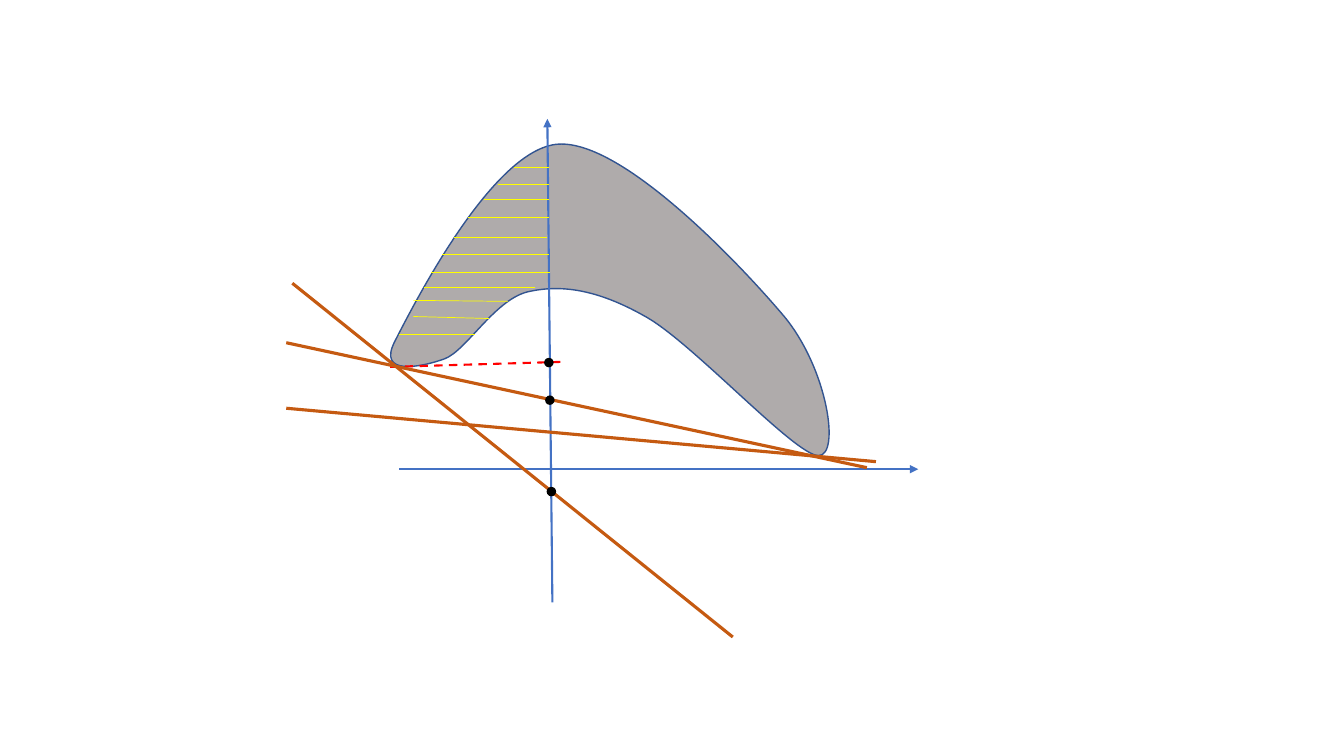
from dataclasses import dataclass

from lxml.etree import SubElement
from pptx import Presentation
from pptx.dml.color import RGBColor
from pptx.enum.dml import MSO_LINE as Dash
from pptx.enum.shapes import MSO_CONNECTOR as Connector, MSO_SHAPE as Preset
from pptx.oxml.ns import qn
from pptx.shapes.shapetree import GroupShapes
from pptx.util import Emu, Inches, Pt

# Grid: ten columns and ten rows to the inch
CELL = Inches(0.1)
COLUMNS, ROWS = 133.33, 75

Point = tuple[float, float]

BLUE, ORANGE, YELLOW = "4472C4", "C55A11", "FFFF00"
RED, BLACK, GRAY, NAVY = "FF0000", "000000", "AFABAB", "325491"


@dataclass(frozen=True)
class Segment:
    start: Point
    end: Point
    color: str
    width: float
    dashed: bool = False
    arrow: bool = False


@dataclass(frozen=True)
class Dot:
    center: Point
    diameter: float = 0.8


# Region: corners of its box, start of its outline,
# then (control, control, end) for each curve
REGION_TOP_LEFT: Point = (38.7, 14.3)
REGION_BOTTOM_RIGHT: Point = (82.2, 45.2)
REGION_START: Point = (39.2, 33.8)
REGION_CURVES: list[tuple[Point, Point, Point]] = [
    ((41, 30.3), (48.9, 14.7), (55.4, 14.3)),
    ((61.8, 13.9), (73.5, 26.3), (77.8, 31.4)),
    ((82.1, 36.6), (83.4, 45.2), (81.2, 45.2)),
    ((78.9, 45.2), (69, 34.3), (64.2, 31.5)),
    ((59.5, 28.8), (55.9, 28.2), (52.6, 28.9)),
    ((49.2, 29.5), (46.3, 34.8), (44.1, 35.6)),
    ((41.9, 36.4), (37.3, 37.4), REGION_START),
]

AXES = [
    Segment((39.6, 46.55), (91.1, 46.55), BLUE, 1.5, arrow=True),
    Segment((54.8, 59.75), (54.3, 11.8), BLUE, 1.5, arrow=True),
]
PROJECTION = Segment((38.7, 36.4), (55.8, 35.9), RED, 1.5, dashed=True)
UPPER_SUPPORT, STEEP_SUPPORT, LOWER_SUPPORT = [
    Segment(start, end, ORANGE, 2.25)
    for start, end in [
        ((28.4, 34), (86, 46.4)),
        ((29, 28.1), (72.7, 63.2)),
        ((28.4, 40.5), (86.9, 45.8)),
    ]
]

# Hatching: left column, right column, row, drop at the right end
HATCHING = [
    Segment((left, row), (right, row + drop), YELLOW, 0.5)
    for left, right, row, drop in [
        (51, 54.5, 16.6, 0),
        (49.4, 54.5, 18.3, 0),
        (48, 54.5, 19.8, 0),
        (46.4, 54.5, 21.6, 0),
        (45, 54.3, 23.5, 0),
        (43.9, 54.5, 25.2, 0),
        (42.8, 54.6, 27, 0),
        (42.1, 53.1, 28.5, 0),
        (41, 50.4, 29.8, 0.1),
        (41, 48.5, 31.4, 0.2),
        (39.6, 47.1, 33.2, 0),
    ]
]

# Intercepts on the vertical axis
TOP_DOT, MIDDLE_DOT, BOTTOM_DOT = (
    Dot((54.45, 35.97)), Dot((54.55, 39.7)), Dot((54.7, 48.77))
)

# Everything above the region, from back to front
PARTS: list[Segment | Dot] = [
    *AXES, PROJECTION, TOP_DOT, UPPER_SUPPORT, STEEP_SUPPORT,
    *HATCHING, MIDDLE_DOT, BOTTOM_DOT, LOWER_SUPPORT,
]


def cells(count: float) -> Emu:
    return Emu(round(count * CELL))


def rgb(color: str) -> RGBColor:
    return RGBColor.from_string(color)


def paint(shape, fill: str, line: str) -> None:
    shape.shadow.inherit = False
    shape.fill.solid()
    shape.fill.fore_color.rgb = rgb(fill)
    shape.line.color.rgb = rgb(line)
    shape.line.width = Pt(1)


def add_path_step(outline, tag: str, *points: Point) -> None:
    step = SubElement(outline, qn(tag))
    left, top = REGION_TOP_LEFT
    for x, y in points:
        SubElement(step, qn("a:pt"), x=str(cells(x - left)), y=str(cells(y - top)))


def draw_region(shapes: GroupShapes) -> None:
    # The diagonal fixes the box; the curves then take its place
    builder = shapes.build_freeform(*map(cells, REGION_TOP_LEFT))
    builder.add_line_segments([tuple(map(cells, REGION_BOTTOM_RIGHT))], close=False)
    region = builder.convert_to_shape()
    outline = region._element.spPr.find(".//" + qn("a:path"))
    for step in list(outline):
        outline.remove(step)
    add_path_step(outline, "a:moveTo", REGION_START)
    for curve in REGION_CURVES:
        add_path_step(outline, "a:cubicBezTo", *curve)
    add_path_step(outline, "a:close")
    paint(region, GRAY, NAVY)


def draw_segment(shapes: GroupShapes, segment: Segment) -> None:
    connector = shapes.add_connector(
        Connector.STRAIGHT, *map(cells, segment.start + segment.end)
    )
    connector.line.color.rgb = rgb(segment.color)
    connector.line.width = Pt(segment.width)
    if segment.dashed:
        connector.line.dash_style = Dash.DASH
    properties = connector._element.spPr
    if segment.arrow:
        SubElement(properties.find(qn("a:ln")), qn("a:tailEnd"), type="triangle")
    SubElement(properties, qn("a:effectLst"))


def draw_dot(shapes: GroupShapes, dot: Dot) -> None:
    left, top = (cells(middle - dot.diameter / 2) for middle in dot.center)
    size = cells(dot.diameter)
    paint(shapes.add_shape(Preset.OVAL, left, top, size, size), BLACK, BLACK)


def main() -> None:
    deck = Presentation()
    deck.slide_width, deck.slide_height = cells(COLUMNS), cells(ROWS)
    page = deck.slides.add_slide(deck.slide_layouts[6])
    diagram = page.shapes.add_group_shape().shapes

    draw_region(diagram)
    for part in PARTS:
        if isinstance(part, Dot):
            draw_dot(diagram, part)
        else:
            draw_segment(diagram, part)

    deck.save("out.pptx")


if __name__ == "__main__":
    main()
